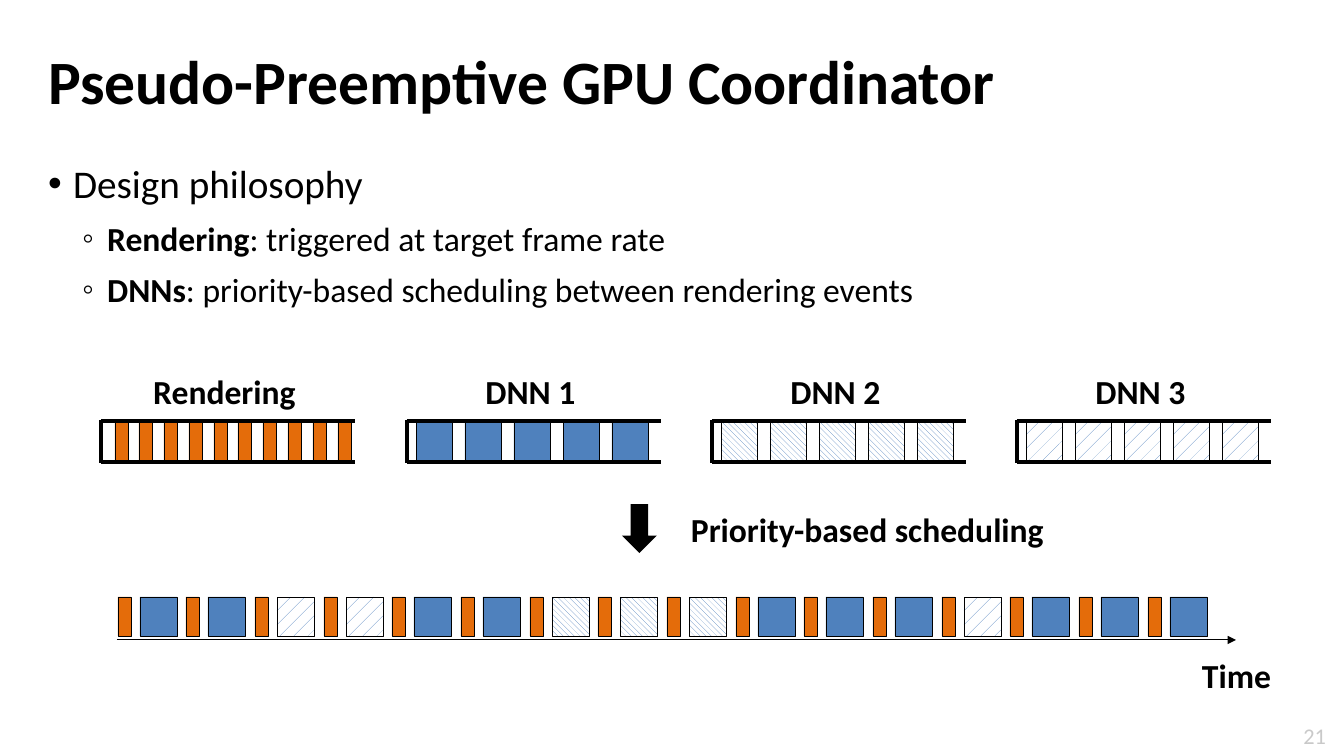
from lxml import etree
from pptx import Presentation
from pptx.dml.color import RGBColor
from pptx.enum.dml import MSO_PATTERN
from pptx.enum.shapes import MSO_CONNECTOR, MSO_SHAPE
from pptx.enum.text import MSO_ANCHOR, MSO_AUTO_SIZE, PP_ALIGN
from pptx.oxml.ns import qn
from pptx.util import Emu, Pt

PX = 914400 / 100.8
FONT = "Calibri"
BLACK = RGBColor(0x00, 0x00, 0x00)
WHITE = RGBColor(0xFF, 0xFF, 0xFF)
BLUE = RGBColor(0x4F, 0x81, 0xBD)
ORANGE = RGBColor(0xE4, 0x6C, 0x0A)
GRAY = RGBColor(0xC9, 0xC9, 0xC9)
RECTANGLE = MSO_SHAPE.RECTANGLE
DOWN_ARROW = MSO_SHAPE.DOWN_ARROW
STRAIGHT = MSO_CONNECTOR.STRAIGHT
MIDDLE = MSO_ANCHOR.MIDDLE
NO_AUTOFIT = MSO_AUTO_SIZE.NONE
LEFT, CENTER, RIGHT = PP_ALIGN.LEFT, PP_ALIGN.CENTER, PP_ALIGN.RIGHT

BAR_HEIGHT = 39
RENDER_WIDTH = 13
TASK_STYLES = {
    "Rendering": (ORANGE, None),
    "DNN 1": (BLUE, None),
    "DNN 2": (BLUE, MSO_PATTERN.WIDE_DOWNWARD_DIAGONAL),
    "DNN 3": (BLUE, MSO_PATTERN.PERCENT_5),
}

presentation = Presentation()
presentation.slide_width = Emu(round(1344 * PX))
presentation.slide_height = Emu(round(756 * PX))
slide = presentation.slides.add_slide(presentation.slide_layouts[1])
shapes = slide.shapes


def add_bar(task, left, top, width):
    color, pattern = TASK_STYLES[task]
    bar = shapes.add_shape(RECTANGLE, *[round(v * PX) for v in (left, top, width, BAR_HEIGHT)])
    bar.shadow.inherit = False
    if pattern is None:
        bar.fill.solid()
    else:
        bar.fill.patterned()
        bar.fill.pattern = pattern
        bar.fill.back_color.rgb = WHITE
    bar.fill.fore_color.rgb = color
    bar.line.color.rgb = BLACK
    bar.line.width = Pt(0.25)


def add_line(x1, y1, x2, y2, weight):
    line = shapes.add_connector(STRAIGHT, *[round(v * PX) for v in (x1, y1, x2, y2)])
    line.line.color.rgb = BLACK
    line.line.width = Pt(weight)
    etree.SubElement(line._element.spPr, qn("a:effectLst"))
    return line


title, body = shapes.title, slide.placeholders[1]
for placeholder, box in ((title, (38, 40, 1276, 76)), (body, (38, 150, 1284, 555))):
    placeholder.left, placeholder.top, placeholder.width, placeholder.height = [
        Emu(round(v * PX)) for v in box
    ]
    placeholder.text_frame.auto_size = NO_AUTOFIT

title.text_frame.text = "Pseudo-Preemptive GPU Coordinator"
title.text_frame.vertical_anchor = MIDDLE
title.text_frame.margin_top = Emu(round(8 * PX))
paragraph = title.text_frame.paragraphs[0]
paragraph.alignment = LEFT
paragraph.font.name = FONT
paragraph.font.size = Pt(44)
paragraph.font.bold = True
paragraph.font.color.rgb = BLACK

bullets = [
    (0, "•", 25, 28, 0, "", "Design philosophy"),
    (1, "◦", 59, 24, 5, "Rendering", ": triggered at target frame rate"),
    (1, "◦", 59, 24, 5, "DNNs", ": priority-based scheduling between rendering events"),
]
for index, (level, mark, indent, size, space, term, text) in enumerate(bullets):
    frame = body.text_frame
    paragraph = frame.add_paragraph() if index else frame.paragraphs[0]
    properties = paragraph._p.get_or_add_pPr()
    properties.set("marL", str(round(indent * PX)))
    properties.set("indent", str(round(-25 * PX)))
    etree.SubElement(properties, qn("a:buFont")).set("typeface", "Arial")
    etree.SubElement(properties, qn("a:buChar")).set("char", mark)
    paragraph.level = level
    paragraph.line_spacing = 1.1
    paragraph.space_before = Pt(space)
    paragraph.font.name = FONT
    paragraph.font.size = Pt(size)
    paragraph.font.color.rgb = BLACK
    if term:
        run = paragraph.add_run()
        run.text = term
        run.font.bold = True
    paragraph.add_run().text = text

labels = [
    ("Time", 1174, 650, 125, 34, 24, BLACK, CENTER),
    ("Priority-based scheduling", 664, 504, 407, 60, 24, BLACK, CENTER),
]
for task, queue_left in zip(TASK_STYLES, (101, 407, 712, 1017)):
    if task == "Rendering":
        count, first, span, width = 10, 14, 223, RENDER_WIDTH
    else:
        count, first, span, width = 5, 9, 196, 36
    for index in range(count):
        add_bar(task, queue_left + first + span * index // (count - 1), 421, width)
    for rail_top in (421, 462):
        add_line(queue_left, rail_top, queue_left + 254, rail_top, 2.25)
    add_line(queue_left, 420, queue_left, 463, 2.25)
    labels.append((task, queue_left + 25, 366, 197, 23, 24, BLACK, CENTER))

time_axis = add_line(117, 640, 1236, 640, 0.75)
etree.SubElement(time_axis.line._get_or_add_ln(), qn("a:tailEnd")).set("type", "triangle")

schedule = (1, 1, 3, 3, 1, 1, 2, 2, 2, 1, 1, 1, 3, 1, 1, 1)
for index, network in enumerate(schedule):
    slot_left = 118 + 1030 * index // (len(schedule) - 1)
    add_bar("Rendering", slot_left, 597, RENDER_WIDTH)
    add_bar(f"DNN {network}", slot_left + 22, 597, 37)

arrow = shapes.add_shape(DOWN_ARROW, *[round(v * PX) for v in (622, 504, 35, 49)])
arrow.shadow.inherit = False
arrow.fill.solid()
arrow.fill.fore_color.rgb = BLACK
arrow.line.fill.background()

labels.append(("21", 952, 716, 374, 40, 16, GRAY, RIGHT))
for text, left, top, width, height, size, color, alignment in labels:
    text_box = shapes.add_textbox(*[round(v * PX) for v in (left, top, width, height)])
    text_frame = text_box.text_frame
    text_frame.word_wrap = True
    text_frame.text = text
    paragraph = text_frame.paragraphs[0]
    paragraph.alignment = alignment
    paragraph.font.name = FONT
    paragraph.font.size = Pt(size)
    paragraph.font.bold = color == BLACK
    paragraph.font.color.rgb = color
    if alignment == RIGHT:
        text_frame.margin_right = 0
        text_frame.vertical_anchor = MIDDLE

presentation.save("out.pptx")
